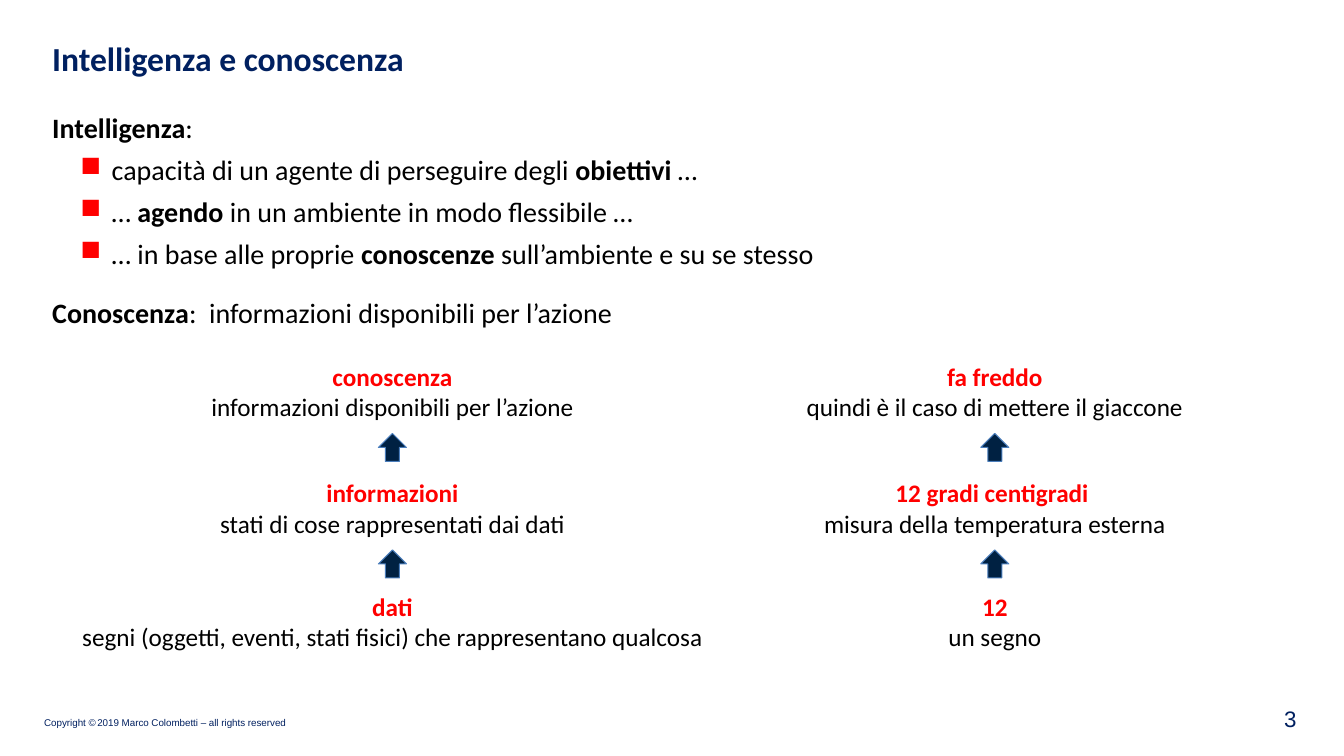
from dataclasses import dataclass

from lxml import etree
from pptx import Presentation
from pptx.dml.color import RGBColor
from pptx.enum.shapes import MSO_SHAPE as SHAPE
from pptx.enum.text import MSO_ANCHOR as ANCHOR, PP_ALIGN as ALIGN
from pptx.oxml.ns import qn
from pptx.util import Pt

NAVY, RED, BLACK = "002060", "FF0000", "000000"


def rgb(color):
    return RGBColor.from_string(color)


@dataclass
class SlideBuilder:
    slide: object
    font: str = "Calibri"
    arrow_fill: str = "002142"
    arrow_line: str = "4B7EBC"

    def text_box(self, x, y, w, h, wrap=True, anchor=ANCHOR.TOP, inset=None):
        sp = self.slide.shapes.add_textbox(Pt(x), Pt(y), Pt(w), Pt(h))
        tf = sp.text_frame
        tf.word_wrap = wrap
        tf.vertical_anchor = anchor
        if inset is not None:
            tf.margin_left = tf.margin_right = Pt(inset)
            tf.margin_top = tf.margin_bottom = Pt(inset)
        return tf

    def paragraph(self, tf, first=False, align=ALIGN.LEFT, before=0):
        p = tf.paragraphs[0] if first else tf.add_paragraph()
        p.alignment = align
        p.space_before = Pt(before)
        return p

    def run(self, p, text, size, color=BLACK, bold=False, font=None):
        r = p.add_run()
        r.text = text
        r.font.name = font or self.font
        r.font.size = Pt(size)
        r.font.bold = bold
        r.font.color.rgb = rgb(color)

    def bullet(self, p, char="■", color=RED, left=42.5, hanging=22.3):
        p.level = 1
        pPr = p._p.get_or_add_pPr()
        pPr.set("marL", str(Pt(left)))
        pPr.set("indent", str(-Pt(hanging)))
        clr = etree.SubElement(pPr, qn("a:buClr"))
        etree.SubElement(clr, qn("a:srgbClr"), val=color)
        etree.SubElement(pPr, qn("a:buChar"), char=char)

    def concept(self, center, y, w, term, meaning):
        tf = self.text_box(center - w / 2, y, w, 51, wrap=False)
        p = self.paragraph(tf, first=True, align=ALIGN.CENTER)
        self.run(p, term, 18, RED, bold=True)
        p = self.paragraph(tf, align=ALIGN.CENTER)
        self.run(p, meaning, 18)

    def up_arrow(self, center, y, size=20):
        sp = self.slide.shapes.add_shape(
            SHAPE.UP_ARROW, Pt(center - size / 2), Pt(y), Pt(size), Pt(size))
        sp.shadow.inherit = False
        sp.fill.solid()
        sp.fill.fore_color.rgb = rgb(self.arrow_fill)
        sp.line.color.rgb = rgb(self.arrow_line)
        sp.line.width = Pt(0.75)


# Body paragraphs: (bulleted, space before, [(text, bold), ...])
BODY = [
    (False, 0, [("Intelligenza", True), (":", False)]),
    (True, 6, [("capacità di un agente di perseguire degli ", False),
               ("obiettivi", True), (" …", False)]),
    (True, 6, [("… ", False), ("agendo", True),
               (" in un ambiente in modo flessibile …", False)]),
    (True, 6, [("… in base alle proprie ", False), ("conoscenze", True),
               (" sull’ambiente e su se stesso", False)]),
    (False, 18, [("Conoscenza", True),
                 (":  informazioni disponibili per l’azione", False)]),
]

# Columns by centre, each listed from top to bottom: (width, term, meaning)
COLUMNS = {
    280.3: [
        (276, "conoscenza", "informazioni disponibili per l’azione"),
        (264, "informazioni", "stati di cose rappresentati dai dati"),
        (464, "dati",
         "segni (oggetti, eventi, stati fisici) che rappresentano qualcosa"),
    ],
    710.6: [
        (287, "fa freddo", "quindi è il caso di mettere il giaccone"),
        (261, "12 gradi centigradi ", "misura della temperatura esterna"),
        (82, "12", "un segno"),
    ],
}
CONCEPT_TOPS = [254.5, 337.7, 419]
ARROW_TOPS = [309.6, 392.8]


def main():
    prs = Presentation()
    prs.slide_width, prs.slide_height = Pt(960), Pt(540)
    s = SlideBuilder(prs.slides.add_slide(prs.slide_layouts[6]))

    # Title
    tf = s.text_box(30.2, 23.8, 900, 47)
    s.run(s.paragraph(tf, first=True), "Intelligenza e conoscenza", 24, NAVY, True)

    # Definitions
    tf = s.text_box(30.2, 75.6, 891, 399)
    for i, (bulleted, before, runs) in enumerate(BODY):
        p = s.paragraph(tf, first=i == 0, before=before)
        if bulleted:
            s.bullet(p)
        for text, bold in runs:
            s.run(p, text, 20, bold=bold)

    # From data to knowledge, with an example beside it
    for center, concepts in COLUMNS.items():
        for y, concept in zip(CONCEPT_TOPS, concepts):
            s.concept(center, y, *concept)
        for y in ARROW_TOPS:
            s.up_arrow(center, y)

    # Footer
    tf = s.text_box(30.2, 510.5, 181, 11.5, wrap=False, anchor=ANCHOR.BOTTOM, inset=1.4)
    p = s.paragraph(tf, first=True)
    for text, size in [("Copyright ©", 7), (" ", 4),
                       ("2019 Marco Colombetti – all rights reserved", 7)]:
        s.run(p, text, size, NAVY, font="Arial")
    tf = s.text_box(893.5, 501, 39.6, 25.2, anchor=ANCHOR.MIDDLE)
    s.run(s.paragraph(tf, first=True, align=ALIGN.RIGHT), "3", 16, NAVY, font="Arial")

    prs.save("out.pptx")


if __name__ == "__main__":
    main()
